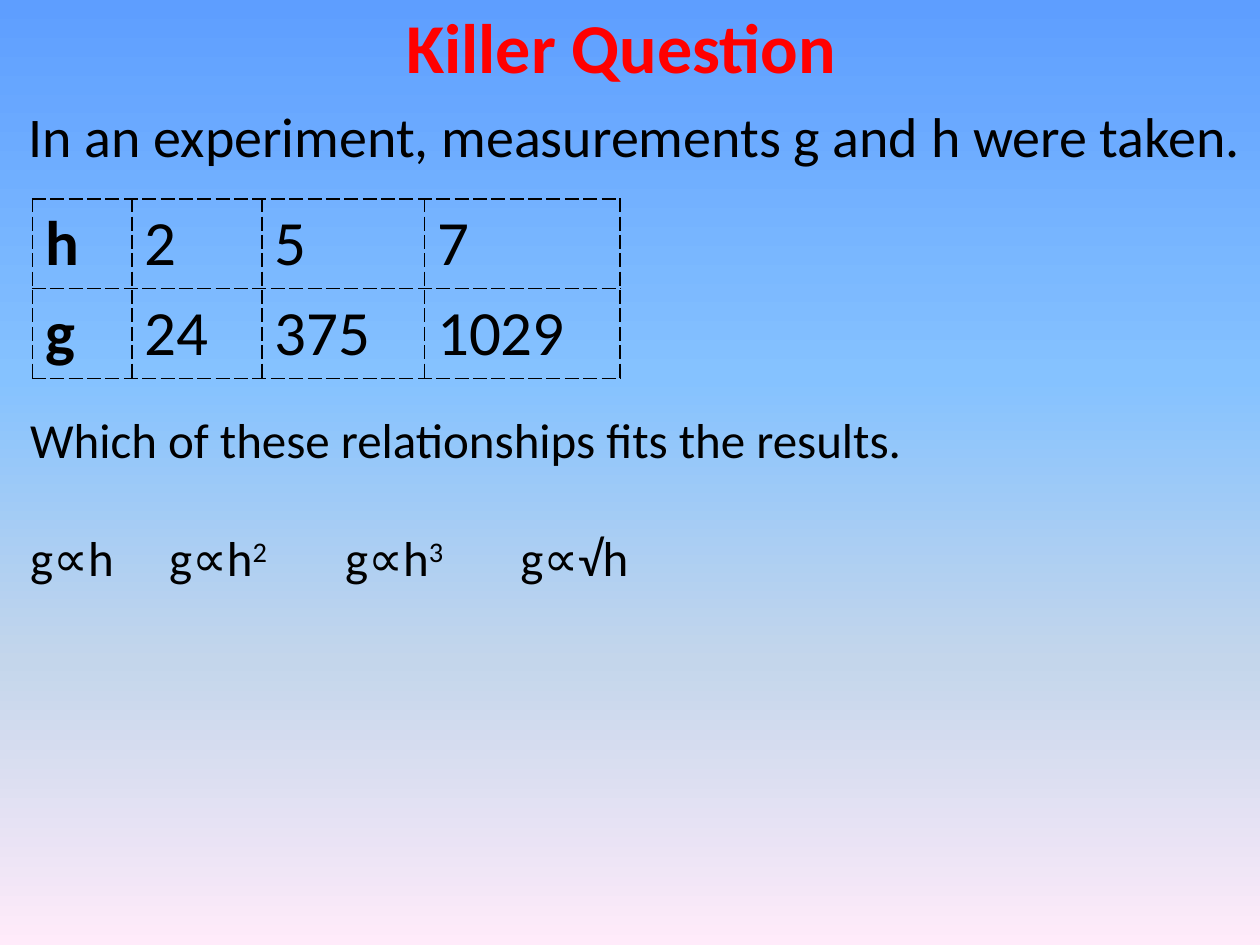
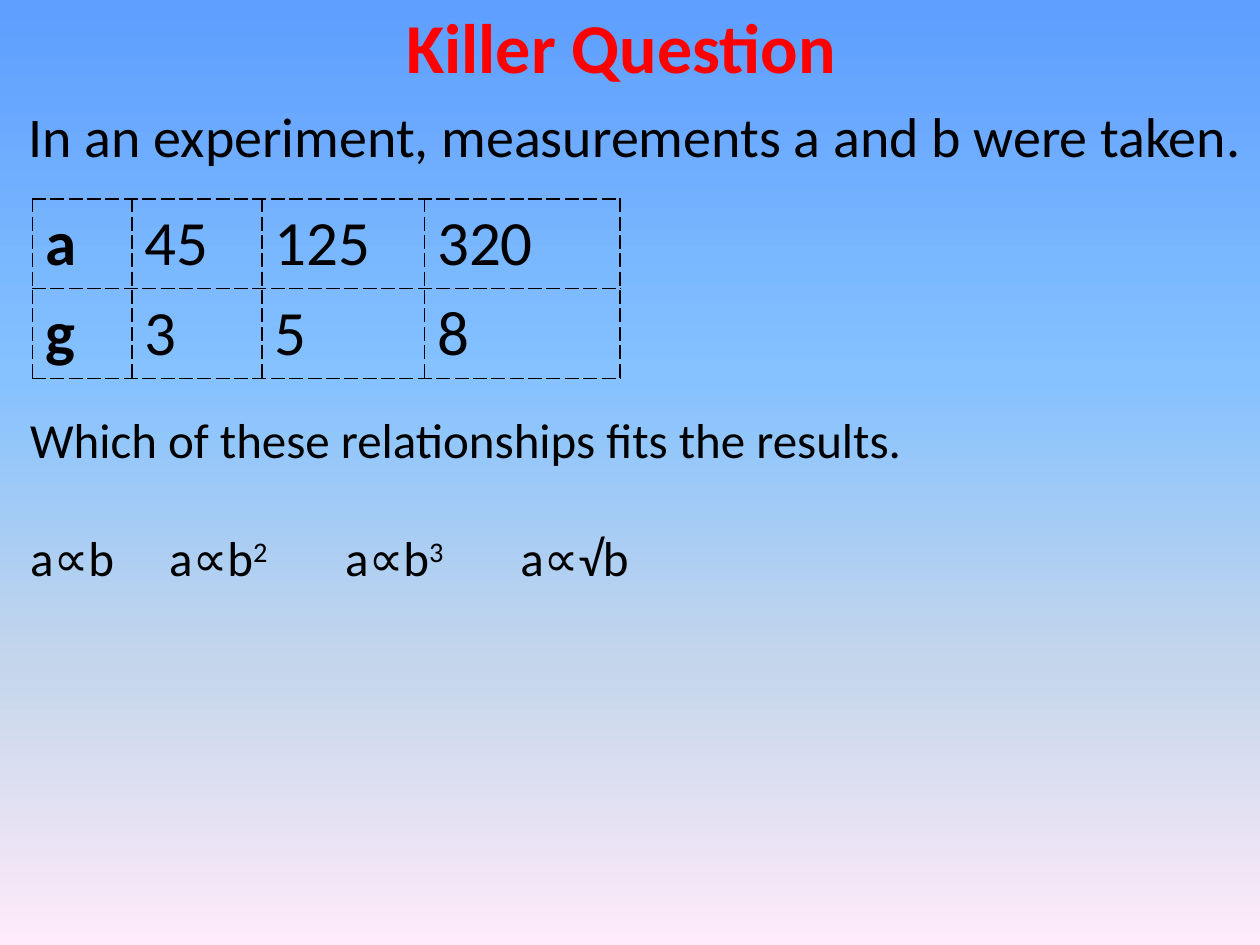
from lxml import etree
from pptx import Presentation
from pptx.dml.color import RGBColor
from pptx.enum import text
from pptx.oxml import ns
from pptx.util import Cm, Pt

FONT = "Calibri"
RED = RGBColor(0xFF, 0, 0)
BLACK = RGBColor(0, 0, 0)
SKY = [(0, RGBColor(0x5E, 0x9E, 0xFF)), (40, RGBColor(0x85, 0xC2, 0xFF)),
       (70, RGBColor(0xC4, 0xD6, 0xEB)), (100, RGBColor(0xFF, 0xEB, 0xFA))]

TITLE = "Killer Question"
INTRO = "In an experiment, measurements {} and {} were taken."
PROMPT = "Which of these relationships fits the results."
QUESTIONS = [
    {"variables": ("g", "h"),
     "results": [("h", "2", "5", "7"), ("g", "24", "375", "1029")]},
    {"variables": ("a", "b"),
     "results": [("a", "45", "125", "320"), ("g", "3", "5", "8")]},
]
# Each relationship: what stands before the second variable, and its power
RELATIONSHIPS = [("", ""), ("", "2"), ("", "3"), ("√", "")]
RELATIONSHIP_TABS = [Cm(2.8), Cm(6.35), Cm(9.88)]
COLUMN_WIDTHS = [Cm(2), Cm(2.62), Cm(3.28), Cm(3.94)]
ROW_HEIGHT = Cm(1.78)


def sub(parent, tag, **attrs):
    return etree.SubElement(parent, ns.qn(tag), **attrs)


def set_font(p, size, color=BLACK, bold=False):
    p.font.name, p.font.size, p.font.bold = FONT, Pt(size), bold
    p.font.color.rgb = color


def paint_background(master):
    fill = master.background.fill
    fill.gradient()
    fill.gradient_angle = 270
    stops = master.element.find(".//" + ns.qn("a:gsLst"))
    for stop in list(stops):
        stops.remove(stop)
    for percent, color in SKY:
        stop = sub(stops, "a:gs", pos=str(percent * 1000))
        sub(stop, "a:srgbClr", val=str(color))


def add_title(s):
    sp = s.shapes.title
    sp.left, sp.top, sp.width, sp.height = Cm(0), Cm(-0.05), Cm(25.04), Cm(1.96)
    tf = sp.text_frame
    tf.text = TITLE
    tf.auto_size = text.MSO_AUTO_SIZE.NONE
    tf.vertical_anchor = text.MSO_ANCHOR.TOP
    tf.paragraphs[0].alignment = text.PP_ALIGN.CENTER
    set_font(tf.paragraphs[0], 40, RED, True)


def add_text(s, words, size, left, top, width, height):
    tf = s.shapes.add_textbox(left, top, width, height).text_frame
    tf.word_wrap = True
    tf.text = words
    set_font(tf.paragraphs[0], size)
    return tf


def add_relationships(tf, first, second):
    p = tf.add_paragraph()
    p.space_before = Pt(34)
    tabs = sub(p._p.get_or_add_pPr(), "a:tabLst")
    for position in RELATIONSHIP_TABS:
        sub(tabs, "a:tab", pos=str(position), algn="l")
    set_font(p, 28)
    for i, (prefix, power) in enumerate(RELATIONSHIPS):
        r = p.add_run()
        r.text = ("\t" if i else "") + f"{first}∝{prefix}{second}"
        if power:
            r = p.add_run()
            r.text = power
            r._r.get_or_add_rPr().set("baseline", "30000")


def dash_borders(cell):
    tcPr = cell._tc.get_or_add_tcPr()
    for i, side in enumerate(("a:lnL", "a:lnR", "a:lnT", "a:lnB")):
        ln = etree.Element(ns.qn(side), w=str(Pt(1)))
        sub(sub(ln, "a:solidFill"), "a:srgbClr", val=str(BLACK))
        sub(ln, "a:prstDash", val="sysDash")
        tcPr.insert(i, ln)


def add_results(s, results):
    table = s.shapes.add_table(len(results), len(COLUMN_WIDTHS), Cm(0.66), Cm(4.01),
                               sum(COLUMN_WIDTHS), ROW_HEIGHT * len(results)).table
    table.first_row = table.horz_banding = False
    for column, width in zip(table.columns, COLUMN_WIDTHS):
        column.width = width
    for i, values in enumerate(results):
        for j, value in enumerate(values):
            cell = table.cell(i, j)
            cell.text = value
            cell.fill.background()
            dash_borders(cell)
            set_font(cell.text_frame.paragraphs[0], 36, bold=j == 0)


def main():
    prs = Presentation()
    prs.slide_width, prs.slide_height = Cm(25.4), Cm(19.05)
    paint_background(prs.slide_master)
    for question in QUESTIONS:
        first, second = question["variables"]
        s = prs.slides.add_slide(prs.slide_layouts.get_by_name("Title Only"))
        add_title(s)
        add_results(s, question["results"])
        add_text(s, INTRO.format(first, second), 32, Cm(0.33), Cm(1.93), Cm(25.2), Cm(1.63))
        tf = add_text(s, PROMPT, 28, Cm(0.36), Cm(8.13), Cm(18.29), Cm(3.84))
        add_relationships(tf, first, second)
    prs.save("out.pptx")


if __name__ == "__main__":
    main()
